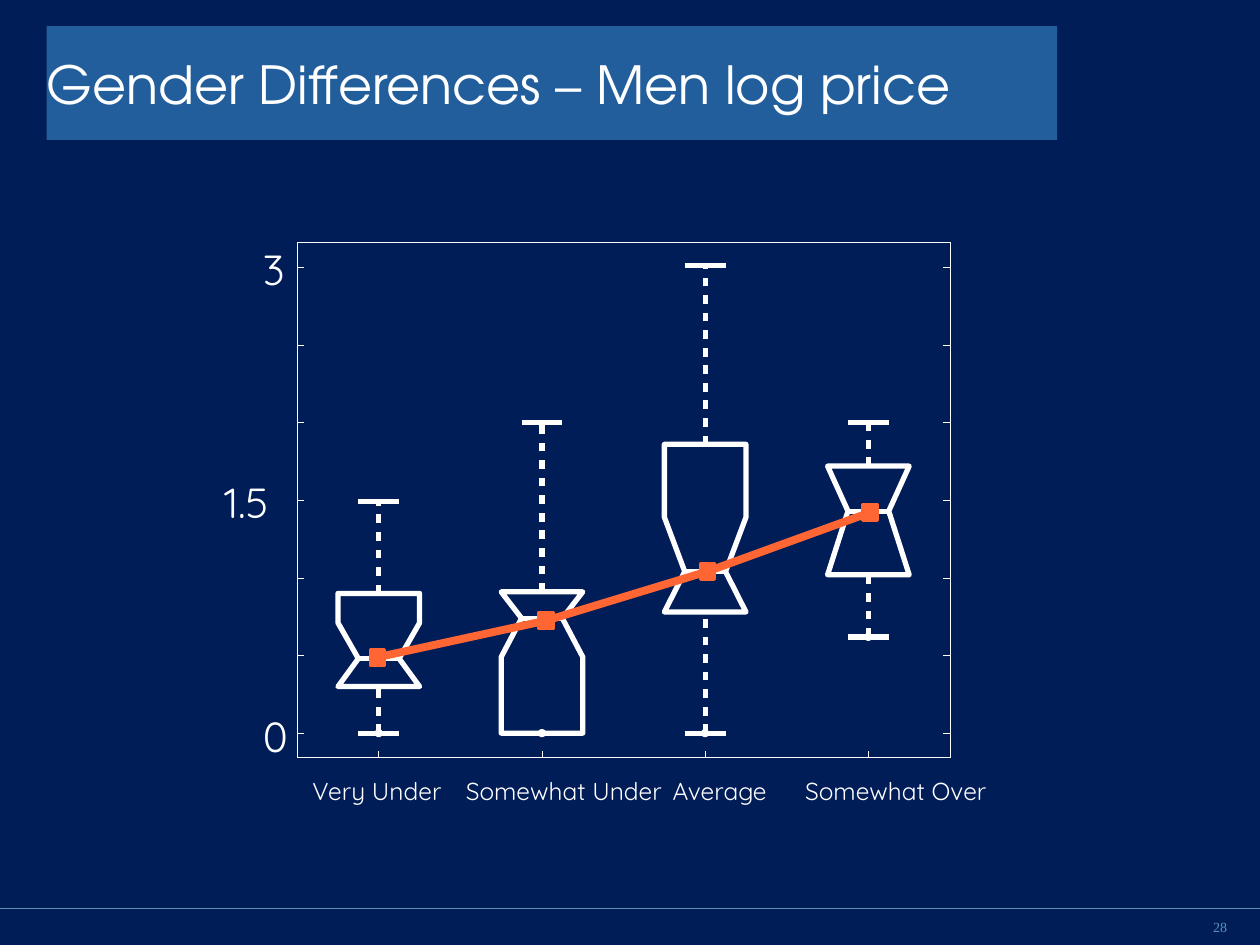
from itertools import pairwise
from lxml.etree import SubElement
from pptx import Presentation
from pptx.dml.color import RGBColor
from pptx.enum.shapes import MSO_CONNECTOR, MSO_SHAPE
from pptx.enum.text import MSO_ANCHOR, PP_ALIGN
from pptx.oxml.ns import qn
from pptx.util import Cm, Pt

NAVY = RGBColor(0x00, 0x1D, 0x58)
BLUE = RGBColor(0x21, 0x5E, 0x9B)
STEEL = RGBColor(0x5A, 0x93, 0xB6)
WHITE = RGBColor(0xFF, 0xFF, 0xFF)
CORAL = RGBColor(0xFF, 0x66, 0x33)

# Plot frame and value scale, in cm
LEFT, TOP, WIDE, HIGH = 5.99, 4.88, 13.16, 10.39
RIGHT, BASE = LEFT + WIDE, TOP + HIGH
STEP = WIDE / 4
ZERO, UNIT = 14.78, 3.13
TICK = 0.14
THIN, BOLD = 0.37, 3

# Low end, lower quartile, lower notch, median, upper notch, upper quartile, high end
PLOTS = [
    (0, 0.3, 0.3, 0.48, 0.71, 0.9, 1.49),
    (0, 0, 0.49, 0.74, 0.91, 0.91, 2),
    (0, 0.78, 0.78, 1.04, 1.39, 1.86, 3.01),
    (0.62, 1.02, 1.02, 1.43, 1.72, 1.72, 2),
]
TREND = [(7.61, 13.25), (11.01, 12.51), (14.26, 11.52), (17.54, 10.33)]
SCALE = [("3", 5.05, 4.65, 1.1), ("1.5", 4.27, 9.35, 1.9), ("0", 5.05, 14.07, 1.1)]
GROUPS = [("Very Under", 6.05, 3.15), ("Somewhat Under", 9.14, 5),
          ("Average", 13.31, 5), ("Somewhat Over", 15.98, 5)]


def level(value):
    return ZERO - UNIT * value


class Painter:
    font = "Quicksand"
    color = WHITE

    def __init__(self, slide):
        self.slide = slide
        self.shapes = slide.shapes

    def line(self, x1, y1, x2, y2, width=BOLD, color=None, dashed=False):
        link = self.shapes.add_connector(
            MSO_CONNECTOR.STRAIGHT, Cm(x1), Cm(y1), Cm(x2), Cm(y2))
        link.line.color.rgb = color or self.color
        link.line.width = Pt(width)
        if dashed:
            dash = SubElement(link.line._get_or_add_ln(), qn("a:custDash"))
            SubElement(dash, qn("a:ds"), d="167000", sp="167000")
        SubElement(link._element.spPr, qn("a:effectLst"))

    def shape(self, kind, x, y, w, h, width, fill=None, color=None):
        item = self.shapes.add_shape(kind, Cm(x), Cm(y), Cm(w), Cm(h))
        self.style(item, width, fill, color)

    def outline(self, points):
        first, *rest = [(Cm(x), Cm(y)) for x, y in points]
        path = self.shapes.build_freeform(*first)
        path.add_line_segments(rest, close=True)
        self.style(path.convert_to_shape(), BOLD)

    def style(self, item, width, fill=None, color=None):
        item.shadow.inherit = False
        if fill is None:
            item.fill.background()
        else:
            item.fill.solid()
            item.fill.fore_color.rgb = fill
        item.line.color.rgb = color or self.color
        item.line.width = Pt(width)

    def text(self, words, x, y, w, h, size, font=None, color=None, fill=None,
             inset=0.0, anchor=MSO_ANCHOR.TOP, align=PP_ALIGN.LEFT):
        box = self.shapes.add_textbox(Cm(x), Cm(y), Cm(w), Cm(h))
        if fill is not None:
            box.fill.solid()
            box.fill.fore_color.rgb = fill
        frame = box.text_frame
        frame.word_wrap = True
        frame.vertical_anchor = anchor
        frame.margin_left = frame.margin_right = Cm(inset)
        frame.margin_top = frame.margin_bottom = Cm(inset)
        frame.text = words
        para = frame.paragraphs[0]
        para.alignment = align
        style = para.runs[0].font
        style.name = font or self.font
        style.size = Pt(size)
        style.color.rgb = color or self.color

    def box(self, mid, low, q1, dip, median, rise, q3, high):
        half, waist = STEP / 4, STEP / 8
        self.line(mid, level(q3), mid, level(high), dashed=True)
        if q1 > low:
            self.line(mid, level(low), mid, level(q1), dashed=True)
        for value in (low, high, median):
            self.line(mid - waist, level(value), mid + waist, level(value))
        side = [(half, q1), (half, dip), (waist, median), (half, rise), (half, q3)]
        # The waist is full width only where a notch ends
        edge = [(mid + dx, level(v)) for dx, v in side]
        back = [(mid - dx, level(v)) for dx, v in reversed(side)]
        self.outline(edge + back)
        self.shape(MSO_SHAPE.OVAL, mid - 0.03, level(low) - 0.03, 0.06, 0.06,
                   BOLD, fill=RGBColor(0, 0, 0))


def main():
    deck = Presentation()
    deck.slide_width, deck.slide_height = Cm(25.4), Cm(19.05)
    slide = deck.slides.add_slide(deck.slide_layouts[6])
    slide.background.fill.solid()
    slide.background.fill.fore_color.rgb = NAVY
    pen = Painter(slide)

    # Footer rule and title
    pen.line(0, 18.31, 25.4, 18.31, 0.75, STEEL)
    pen.text("Gender Differences – Men log price", 0.94, 0.53, 20.37, 2.29, 30,
             "TeX Gyre Adventor", fill=BLUE, anchor=MSO_ANCHOR.MIDDLE)

    # Frame and ticks
    pen.shape(MSO_SHAPE.RECTANGLE, LEFT, TOP, WIDE, HIGH, THIN)
    mids = [LEFT + STEP * (i + 0.5) for i in range(4)]
    for mid in mids:
        pen.line(mid, BASE, mid, BASE - TICK, THIN)
    for i in range(7):
        y = level(i / 2)
        pen.line(LEFT, y, LEFT + TICK, y, THIN)
        pen.line(RIGHT, y, RIGHT - TICK, y, THIN)

    # Notched boxes with whiskers
    for mid, plot in zip(mids, PLOTS):
        pen.box(mid, *plot)

    # Scale labels
    for words, x, y, w in SCALE:
        pen.text(words, x, y, w, 1.52, 24, inset=0.25)

    # Trend through the medians
    for start, end in pairwise(TREND):
        pen.line(*start, *end, 4.5, CORAL)
    for x, y in TREND:
        pen.shape(MSO_SHAPE.RECTANGLE, x - 0.14, y - 0.16, 0.28, 0.32,
                  2, CORAL, CORAL)

    # Group labels and page number
    for words, x, w in GROUPS:
        pen.text(words, x, 15.39, w, 1.09, 14, inset=0.25)
    pen.text("28", 23.62, 18.49, 1.12, 0.38, 8, "Times New Roman", STEEL,
             anchor=MSO_ANCHOR.MIDDLE, align=PP_ALIGN.RIGHT)
    deck.save("out.pptx")


if __name__ == "__main__":
    main()
